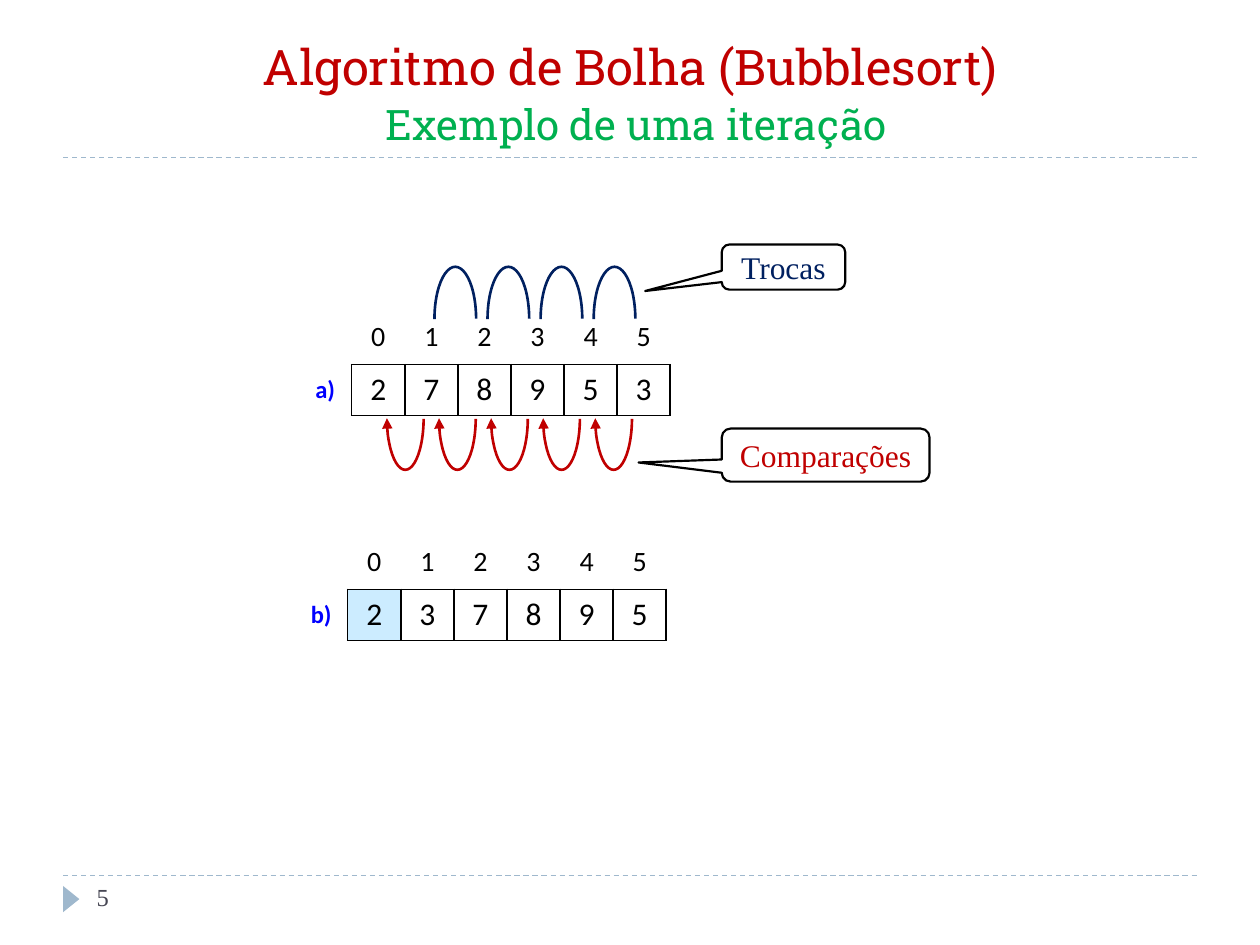
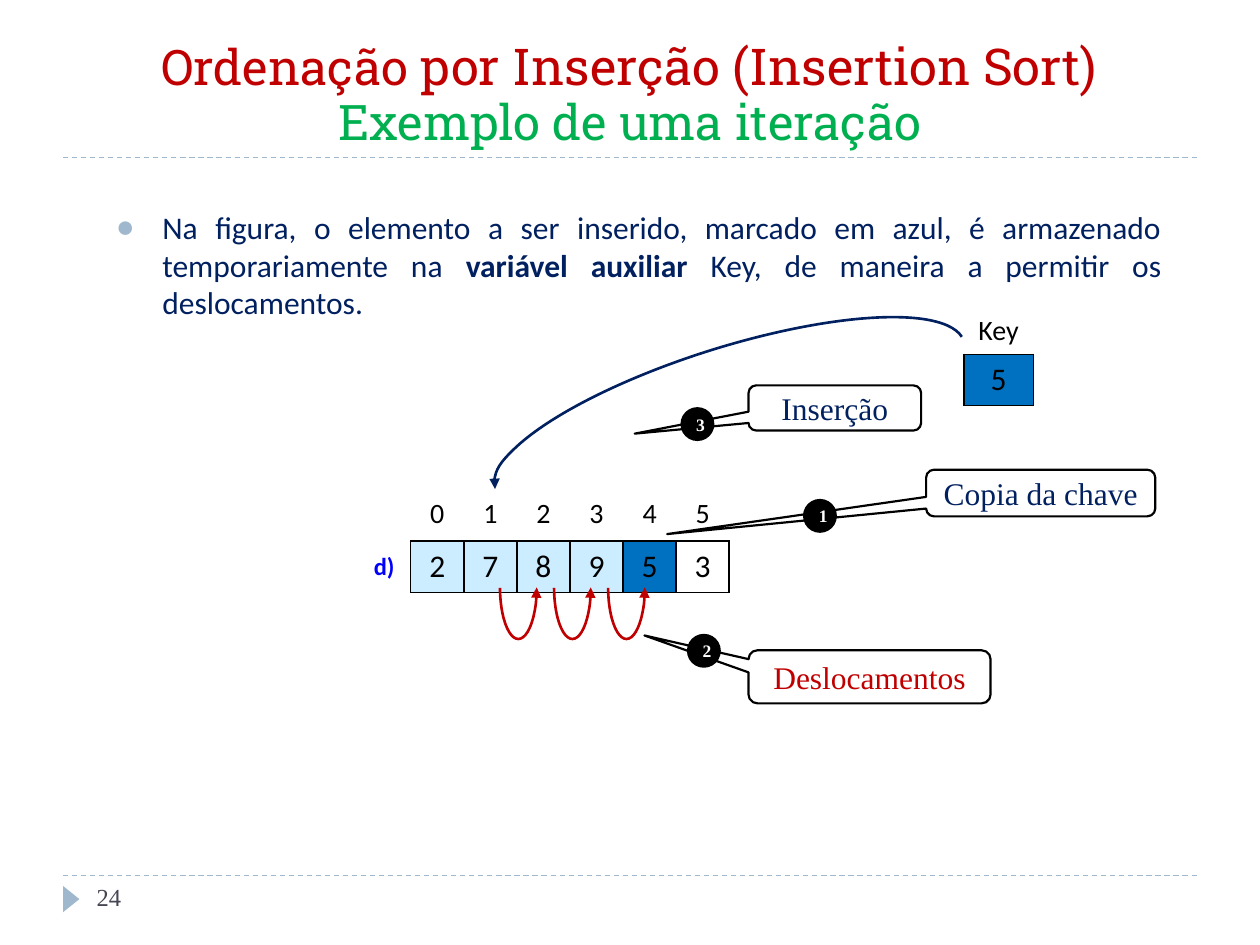
from lxml import etree
from pptx import Presentation
from pptx.dml.color import RGBColor
from pptx.enum.dml import MSO_LINE
from pptx.enum.shapes import MSO_CONNECTOR, MSO_SHAPE
from pptx.enum.text import MSO_ANCHOR, MSO_AUTO_SIZE, PP_ALIGN
from pptx.oxml.ns import qn
from pptx.util import Cm, Pt

LEFT, CENTER, JUSTIFY = PP_ALIGN.LEFT, PP_ALIGN.CENTER, PP_ALIGN.JUSTIFY
TOP, MIDDLE, BOTTOM = MSO_ANCHOR.TOP, MSO_ANCHOR.MIDDLE, MSO_ANCHOR.BOTTOM
STRAIGHT, DASH, NO_FIT = MSO_CONNECTOR.STRAIGHT, MSO_LINE.DASH, MSO_AUTO_SIZE.NONE
ARC, OVAL, TRIANGLE = MSO_SHAPE.ARC, MSO_SHAPE.OVAL, MSO_SHAPE.ISOSCELES_TRIANGLE
CALLOUT = MSO_SHAPE.ROUNDED_RECTANGULAR_CALLOUT

TITLE_AND_BODY, TITLE_ONLY = 1, 5
COLORS = {
    "red": "C00000", "green": "00B050", "navy": "002060", "label": "0000FF",
    "black": "000000", "white": "FFFFFF", "gray": "464653", "accent": "9FB8CD",
    "sorted": "CCECFF", "key": "0070C0",
}
TITLE_FONT, BODY_FONT, NOTE_FONT = "Roboto Slab", "Calibri", "Times New Roman"
CELL_WIDTH, INDEX_HEIGHT, VALUE_HEIGHT = 1.07, 0.94, 1.02
RED_ARC = (0.74, 2.08)
BLUE_ARC = (0.84, 2.11)
RED_START, BLUE_START = 109.04, 108.67


def color(name):
    return RGBColor.from_string(COLORS[name])


def set_all(target, values):
    for name, value in values.items():
        setattr(target, name, value)


def add_element(parent, tag, **attributes):
    return etree.SubElement(parent, qn(tag), attributes)


class Deck:
    def __init__(self):
        self.presentation = Presentation()
        set_all(self.presentation, {"slide_width": Cm(25.4), "slide_height": Cm(19.05)})
        self.page = None

    def new_page(self, layout, title_spans, number):
        layouts = self.presentation.slide_layouts
        self.page = self.presentation.slides.add_slide(layouts[layout])
        for y in (3.18, 17.65):
            self.rule(y)
        marker = self.shape(TRIANGLE, (1.17, 17.96, 0.53, 0.33), fill="accent")
        marker.rotation = 90
        title = self.page.shapes.title
        self.place(title, (1.27, 0.64, 22.86, 2.54))
        self.fill_text(title.text_frame, title_spans, TITLE_FONT, anchor=BOTTOM)
        title.text_frame.paragraphs[0].line_spacing = 0.93
        box = self.page.shapes.add_textbox(Cm(1.7), Cm(17.65), Cm(5.5), Cm(1.02))
        self.fill_text(box.text_frame, [(number, 14, "gray")], NOTE_FONT, LEFT, TOP)

    def place(self, shape, area):
        set_all(shape, dict(zip(("left", "top", "width", "height"), map(Cm, area))))

    def fill_text(self, frame, spans, font, align=CENTER, anchor=MIDDLE, margin=None):
        """Fill the first paragraph with spans of (text, size, color, bold)."""
        set_all(frame, {"word_wrap": True, "auto_size": NO_FIT, "vertical_anchor": anchor})
        if margin is not None:
            sides = ("left", "right", "top", "bottom")
            set_all(frame, {f"margin_{side}": Cm(margin) for side in sides})
        self.add_spans(frame.paragraphs[0], spans, font, align)

    def add_spans(self, para, spans, font, align):
        set_all(para, {"alignment": align, "space_before": Pt(0)})
        for text, size, ink, *bold in spans:
            for position, line in enumerate(text.split("\n")):
                if position:
                    para.add_line_break()
                if line:
                    span = para.add_run()
                    span.text = line
                    set_all(span.font, {"name": font, "size": Pt(size), "bold": bool(bold)})
                    span.font.color.rgb = color(ink)

    def rule(self, y):
        line = self.page.shapes.add_connector(STRAIGHT, Cm(1.27), Cm(y), Cm(24.13), Cm(y))
        line.line.color.rgb = color("accent")
        set_all(line.line, {"width": Pt(0.75), "dash_style": DASH})
        add_element(line.element.spPr, "a:effectLst")

    def shape(self, kind, area, fill=None, line=None, width=1.25):
        shape = self.page.shapes.add_shape(kind, *map(Cm, area))
        shape.shadow.inherit = False
        for part, name in ((shape.fill, fill), (shape.line.fill, line)):
            if name:
                part.solid()
                part.fore_color.rgb = color(name)
            else:
                part.background()
        if line:
            shape.line.width = Pt(width)
        return shape

    def callout(self, text, area, tip, ink="navy"):
        """Add a rounded balloon; tip is its offset in shares of the size."""
        balloon = self.shape(CALLOUT, area, "white", "black")
        for position, value in enumerate((*tip, 0.17)):
            balloon.adjustments[position] = value
        self.fill_text(balloon.text_frame, [(text, 18, ink)], NOTE_FONT, margin=0)

    def badge(self, text, left, top):
        circle = self.shape(OVAL, (left, top, 0.64, 0.64), "black", "black")
        self.fill_text(circle.text_frame, [(text, 10, "white", True)], NOTE_FONT)

    def arc(self, area, ink, start, rotation=0, flip=False, arrow=False):
        curve = self.shape(ARC, area, line=ink, width=1.5)
        curve.adjustments[0], curve.adjustments[1] = start, 0
        curve.rotation = rotation
        properties = curve.element.spPr
        if flip:
            properties.xfrm.set("flipH", "1")
        if arrow:
            add_element(properties.get_or_add_ln(), "a:tailEnd", type="triangle")

    def arc_row(self, count, left, top, step, size, **style):
        for position in range(count):
            self.arc((left + position * step, top, *size), **style)

    def cell(self, cell, text, size, edges, ink="black", bold=False, fill=None, anchor=MIDDLE):
        """Format a cell with black lines on the edges named among L, R, T and B."""
        properties = cell._tc.get_or_add_tcPr()
        for edge in "LRTB":
            line = add_element(properties, f"a:ln{edge}", w=str(Pt(1)))
            if edge in edges:
                paint = add_element(line, "a:solidFill")
                add_element(paint, "a:srgbClr", val=COLORS["black"])
            else:
                add_element(line, "a:noFill")
        if fill:
            cell.fill.solid()
            cell.fill.fore_color.rgb = color(fill)
        else:
            cell.fill.background()
        cell.vertical_anchor = anchor
        if text:
            span = (text, size, ink, True) if bold else (text, size, ink)
            self.add_spans(cell.text_frame.paragraphs[0], [span], BODY_FONT, CENTER)

    def array(self, left, top, heads, values, fills, label=None, width=CELL_WIDTH):
        """Draw boxed values under their heads, with a label column if given."""
        first = 1 if label else 0
        count = first + len(values)
        frame = self.page.shapes.add_table(
            2, count, Cm(left), Cm(top), Cm(width * count), Cm(INDEX_HEIGHT + VALUE_HEIGHT))
        table = frame.table
        set_all(table, {"first_row": False, "horz_banding": False})
        for column in table.columns:
            column.width = Cm(width)
        for row, height in zip(table.rows, (INDEX_HEIGHT, VALUE_HEIGHT)):
            row.height = Cm(height)
        if label:
            self.cell(table.cell(0, 0), "", 16, "")
            self.cell(table.cell(1, 0), label, 14, "R", "label", True)
        for column, (head, value) in enumerate(zip(heads, values), first):
            self.cell(table.cell(0, column), head, 16, "B", anchor=TOP)
            fill = fills.get(column - first)
            self.cell(table.cell(1, column), value, 18, "LRTB", fill=fill)

    def bullet(self, area, spans):
        body = self.page.placeholders[1]
        self.place(body, area)
        para = body.text_frame.paragraphs[0]
        indent = Cm(0.94)
        properties = para._p.get_or_add_pPr()
        properties.set("marL", str(indent))
        properties.set("indent", str(-indent))
        paint = add_element(properties, "a:buClr")
        add_element(paint, "a:srgbClr", val=COLORS["accent"])
        add_element(properties, "a:buChar", char="●")
        self.fill_text(body.text_frame, spans, BODY_FONT, JUSTIFY, TOP)


def bubble_sort_page(deck):
    deck.new_page(TITLE_ONLY, [
        ("Algoritmo de Bolha (Bubblesort)\n ", 28, "red"),
        ("Exemplo de uma iteração", 24, "green"),
    ], "5")
    deck.callout("Comparações", (14.55, 8.64, 4.19, 1.07), (-0.9, 0.14), "red")
    deck.callout("Trocas", (14.55, 4.93, 2.49, 0.91), (-1.12, 0.53))
    deck.array(6.02, 6.32, "012345", "278953", {}, "a)")
    deck.array(5.94, 10.85, "012345", "237895", {0: "sorted"}, "b)")
    deck.arc_row(5, 7.8, 7.39, 1.05, RED_ARC, ink="red", start=RED_START,
                 rotation=180, arrow=True)
    deck.arc_row(4, 8.76, 5.38, 1.07, BLUE_ARC, ink="navy", start=BLUE_START, flip=True)


def insertion_sort_page(deck):
    deck.new_page(TITLE_AND_BODY, [
        ("Ordenação", 28, "red"),
        (" por Inserção (Insertion Sort)\n", 29, "red"),
        ("Exemplo de uma iteração", 28, "green"),
    ], "24")
    deck.bullet((2.08, 4.06, 21.59, 2.51), [
        ("Na figura, o elemento a ser inserido, marcado em azul, é armazenado "
         "temporariamente na ", 18, "navy"),
        ("variável auxiliar", 18, "navy", True),
        (" Key, de maneira a permitir os deslocamentos.", 18, "navy"),
    ])
    deck.callout("Deslocamentos", (15.09, 13.11, 4.88, 1.07), (-0.93, -0.78), "red")
    deck.callout("Inserção", (15.09, 7.77, 3.48, 0.91), (-1.16, 0.57))
    deck.callout("Copia da chave", (18.67, 9.47, 4.62, 0.94), (-1.63, 0.88))
    fills = {**dict.fromkeys(range(4), "sorted"), 4: "key"}
    deck.array(7.21, 9.88, "012345", "278953", fills, "d)")
    deck.array(19.43, 6.2, ["Key"], ["5"], {0: "key"}, width=1.4)
    deck.arc_row(3, 10.08, 10.8, 1.09, RED_ARC, ink="red", start=RED_START,
                 rotation=180, flip=True, arrow=True)
    deck.arc((9.75, 7.01, 9.91, 2.72), "navy", BLUE_START, 342.5, flip=True, arrow=True)
    for text, left, top in (("1", 16.21, 10.08), ("2", 13.87, 12.8), ("3", 13.74, 8.23)):
        deck.badge(text, left, top)


def main():
    deck = Deck()
    bubble_sort_page(deck)
    insertion_sort_page(deck)
    deck.presentation.save("out.pptx")


if __name__ == "__main__":
    main()
